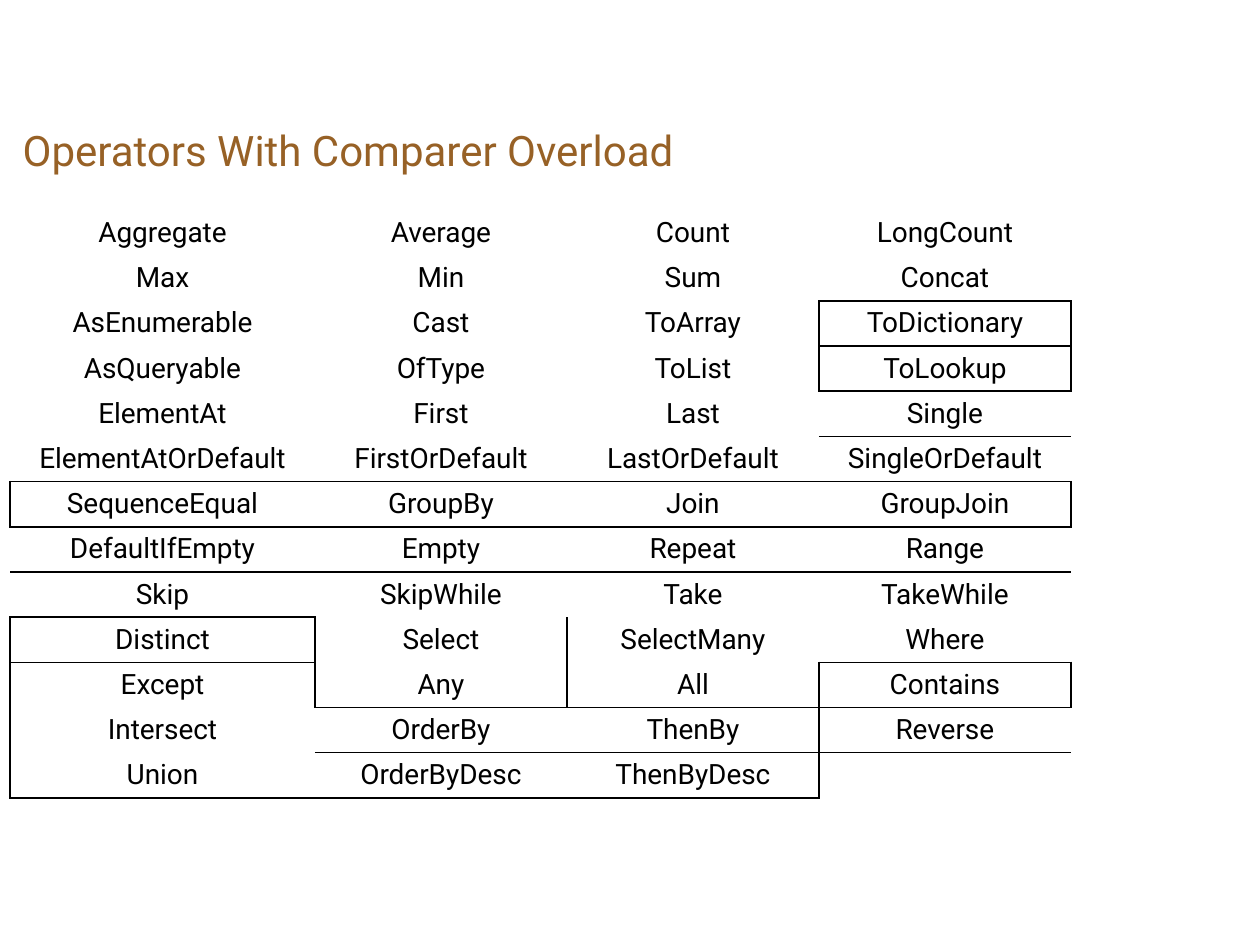
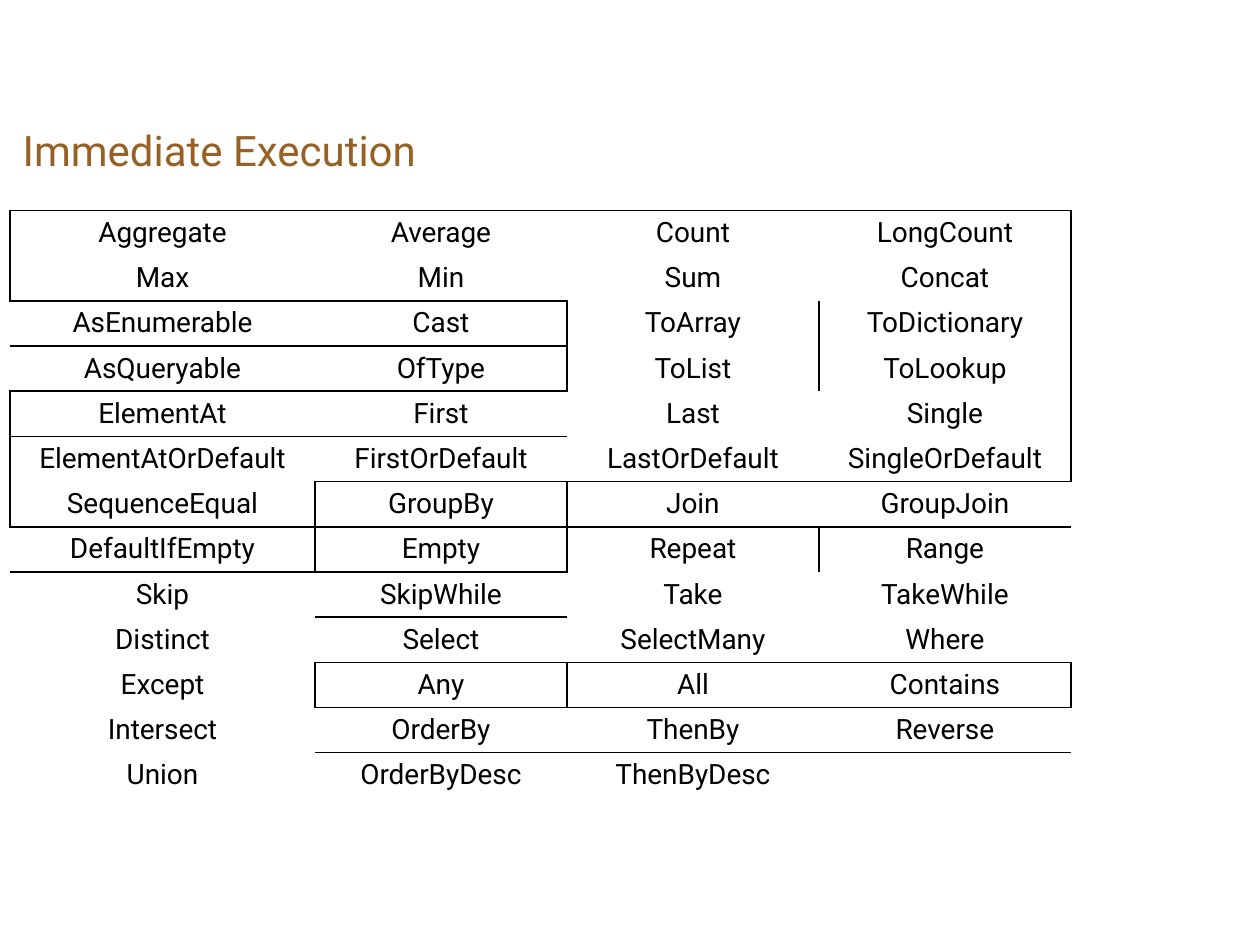
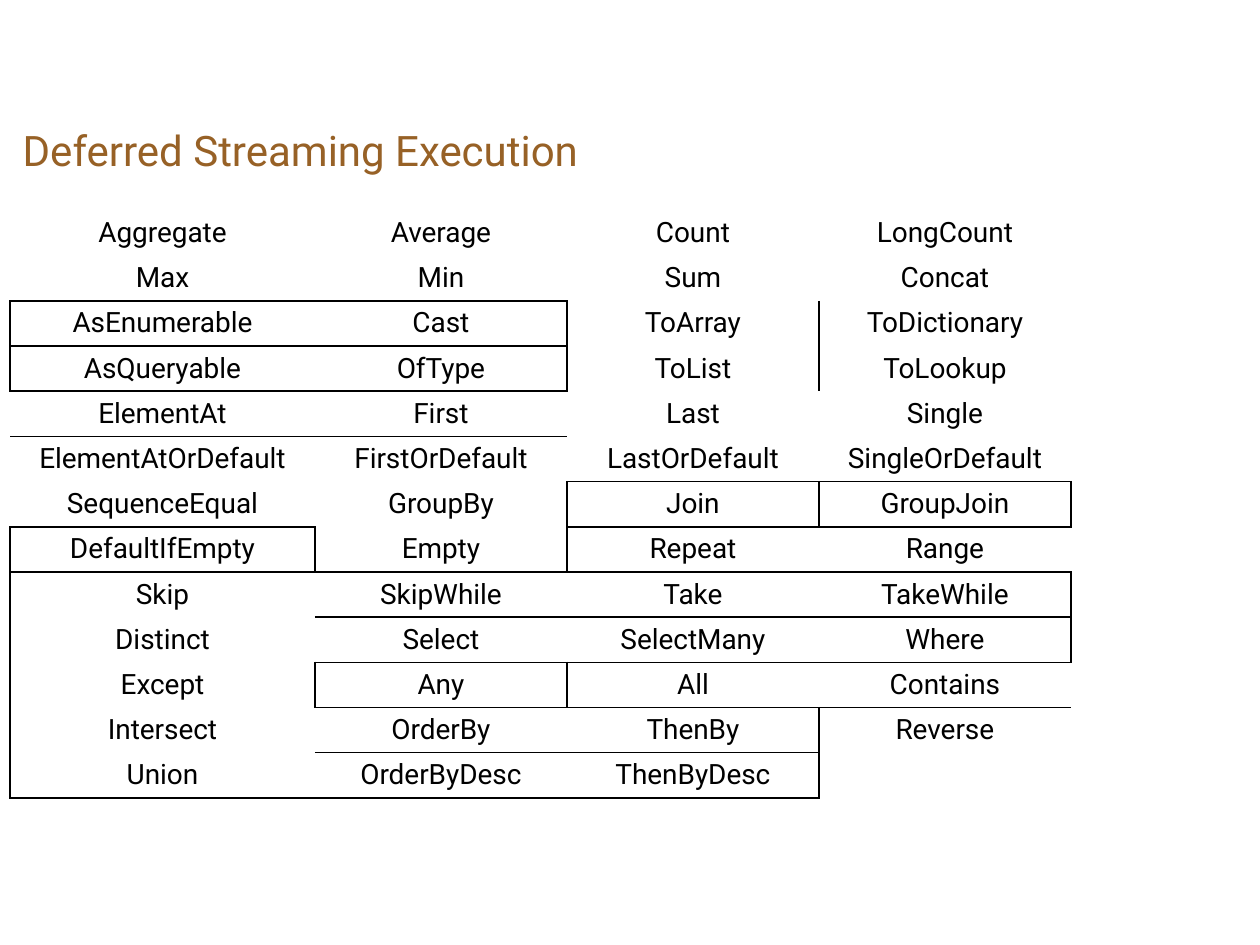
from lxml import etree
from pptx import Presentation
from pptx.dml.color import RGBColor
from pptx.enum import text as t
from pptx.oxml import ns
from pptx.util import Inches, Pt

BROWN = RGBColor(0x97, 0x61, 0x26)
BLACK = RGBColor(0, 0, 0)
FONT = "Roboto"
SIZE = Pt(16)
PLAIN = "{2D5ABB26-0587-4C30-8999-92F81FD0307C}"  # no style, no grid

WIDTHS = (2.42, 2, 2, 2)
NAMES = [line.split() for line in """\
Aggregate Average Count LongCount
Max Min Sum Concat
AsEnumerable Cast ToArray ToDictionary
AsQueryable OfType ToList ToLookup
ElementAt First Last Single
ElementAtOrDefault FirstOrDefault LastOrDefault SingleOrDefault
SequenceEqual GroupBy Join GroupJoin
DefaultIfEmpty Empty Repeat Range
Skip SkipWhile Take TakeWhile
Distinct Select SelectMany Where
Except Any All Contains
Intersect OrderBy ThenBy Reverse
Union OrderByDesc ThenByDesc""".splitlines()]

# One word per table row; x marks a cell inside an outlined group
SLIDES = {
    "Operators With Comparer Overload":
        ".... .... ...x ...x .... .... xxxx .... .... x... x..x xxx. xxx.",
    "Immediate Execution":
        "xxxx xxxx ..xx ..xx xxxx xxxx x... .x.. .... .... .xxx .... ....",
    "Deferred Streaming Execution":
        ".... .... xx.. xx.. .... .... ..xx x... xxxx xxxx x... xxx. xxx.",
}
# Border tag, row step and column step of each side
SIDES = (("lnL", 0, -1), ("lnR", 0, 1), ("lnT", -1, 0), ("lnB", 1, 0))


def style(font, size, color):
    font.name = FONT
    font.size = size
    font.color.rgb = color


def border(cell, side):
    props = cell._tc.get_or_add_tcPr()
    line = etree.SubElement(props, ns.qn("a:" + side), w=str(Pt(1)))
    fill = etree.SubElement(line, ns.qn("a:solidFill"))
    etree.SubElement(fill, ns.qn("a:srgbClr"), val=str(BLACK))


prs = Presentation()
prs.slide_width, prs.slide_height = Inches(10), Inches(7.5)

for name, marks in SLIDES.items():
    slide = prs.slides.add_slide(prs.slide_layouts[5])

    # Title
    title = slide.shapes.title
    title.left, title.top = Inches(0.08), Inches(0.92)
    title.width, title.height = Inches(9.5), Inches(0.67)
    frame = title.text_frame
    frame.text = name
    frame.vertical_anchor = t.MSO_ANCHOR.TOP
    frame.auto_size = t.MSO_AUTO_SIZE.NONE
    frame.margin_top = Inches(0.07)
    frame.paragraphs[0].alignment = t.PP_ALIGN.LEFT
    style(frame.paragraphs[0].runs[0].font, Pt(24), BROWN)

    # Table of operators
    rows, cols = len(NAMES), len(WIDTHS)
    table = slide.shapes.add_table(
        rows, cols, Inches(0.08), Inches(1.67),
        Inches(sum(WIDTHS)), Inches(0.26 * rows)).table
    table.first_row = table.horz_banding = False
    table._tbl.tblPr.find(ns.qn("a:tableStyleId")).text = PLAIN
    for col, width in zip(table.columns, WIDTHS):
        col.width = Inches(width)

    # An edge is drawn wherever a marked cell meets an unmarked one
    marks = marks.split()
    inside = {(r, c) for r in range(rows) for c in range(cols)
              if marks[r][c] == "x"}
    for r in range(rows):
        for c in range(cols):
            cell = table.cell(r, c)
            par = cell.text_frame.paragraphs[0]
            par.alignment = t.PP_ALIGN.CENTER
            if c < len(NAMES[r]):
                par.text = NAMES[r][c]
                style(par.runs[0].font, SIZE, BLACK)
            else:
                # Keep the empty cell as low as its row
                end = etree.SubElement(par._p, ns.qn("a:endParaRPr"),
                                       sz=str(int(SIZE.pt * 100)))
                etree.SubElement(end, ns.qn("a:latin"), typeface=FONT)
            for side, down, right in SIDES:
                if ((r, c) in inside) != ((r + down, c + right) in inside):
                    border(cell, side)
            cell.fill.background()

prs.save("out.pptx")
